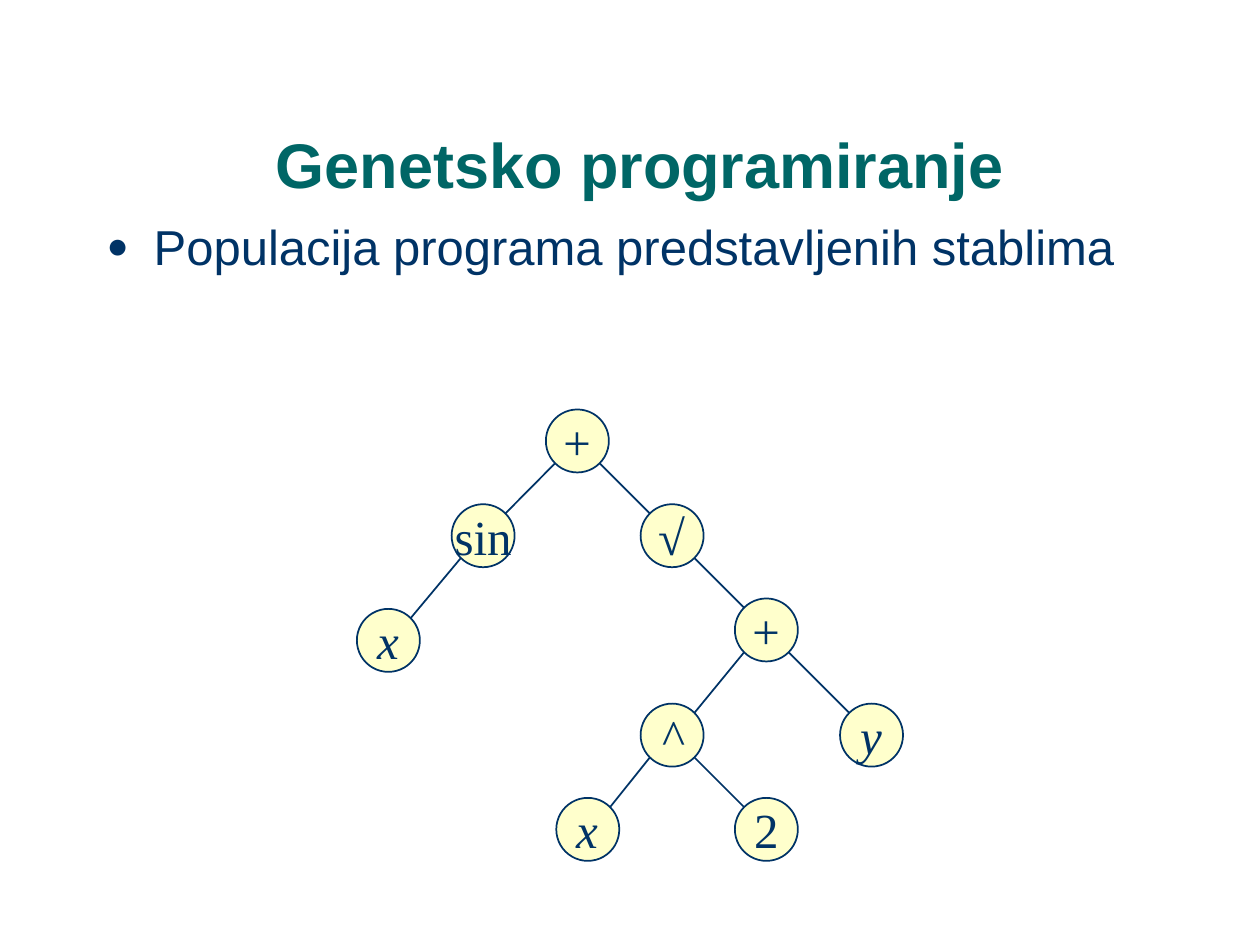
from math import sqrt

from lxml import etree
from pptx import Presentation
from pptx.dml.color import RGBColor
from pptx.enum.shapes import MSO_CONNECTOR, MSO_SHAPE
from pptx.enum.text import MSO_ANCHOR, PP_ALIGN
from pptx.oxml.ns import qn
from pptx.util import Cm, Pt

OVAL = MSO_SHAPE.OVAL
LINE = MSO_CONNECTOR.STRAIGHT
MIDDLE, BOTTOM = MSO_ANCHOR.MIDDLE, MSO_ANCHOR.BOTTOM
CENTER = PP_ALIGN.CENTER
TEAL = RGBColor(0x00, 0x66, 0x66)
NAVY = RGBColor(0x00, 0x33, 0x66)
CREAM = RGBColor(0xFF, 0xFF, 0xCC)


def set_font(par, name, size, color):
    par.font.name = name
    par.font.size = Pt(size)
    par.font.color.rgb = color


def add_text(left, top, width, height, text):
    box = slide.shapes.add_textbox(Cm(left), Cm(top), Cm(width), Cm(height))
    box.text_frame.word_wrap = True
    box.text_frame.text = text
    return box.text_frame


deck = Presentation()
deck.slide_width, deck.slide_height = Cm(25.4), Cm(19.05)
slide = deck.slides.add_slide(deck.slide_layouts[6])

# Title
frame = add_text(5.31, 2.74, 19.46, 1.47, "Genetsko programiranje")
frame.vertical_anchor = BOTTOM
par = frame.paragraphs[0]
par.line_spacing = 0.9
set_font(par, "Arial", 36, TEAL)
par.font.bold = True

# Bullet line
frame = add_text(1.9, 4.24, 21.6, 1.9, "Populacija programa predstavljenih stablima")
par = frame.paragraphs[0]
props = par._p.get_or_add_pPr()
props.set("marL", str(Cm(0.95)))
props.set("indent", str(-Cm(0.95)))
color = etree.SubElement(props, qn("a:buClr"))
etree.SubElement(color, qn("a:srgbClr"), val=str(NAVY))
etree.SubElement(props, qn("a:buSzPct"), val="75000")
etree.SubElement(props, qn("a:buFont"), typeface="Arial")
etree.SubElement(props, qn("a:buChar"), char="●")
set_font(par, "Arial", 28, NAVY)

# Tree nodes: label, centre x, centre y, parent index
SIZE = 1.27
nodes = [
    ("+", 11.64, 8.89, None),
    ("sin", 9.74, 10.8, 0),
    ("x", 7.83, 12.91, 1),
    ("√", 13.55, 10.8, 0),
    ("+", 15.45, 12.7, 3),
    ("^", 13.55, 14.82, 4),
    ("y", 17.57, 14.82, 4),
    ("2", 15.45, 16.72, 5),
    ("x", 11.85, 16.72, 5),
]
for label, x, y, _ in nodes:
    node = slide.shapes.add_shape(
        OVAL, Cm(x - SIZE / 2), Cm(y - SIZE / 2), Cm(SIZE), Cm(SIZE))
    node.shadow.inherit = False
    node.fill.solid()
    node.fill.fore_color.rgb = CREAM
    node.line.color.rgb = NAVY
    node.line.width = Pt(1)
    frame = node.text_frame
    frame.word_wrap = False
    frame.vertical_anchor = MIDDLE
    frame.text = label
    par = frame.paragraphs[0]
    par.alignment = CENTER
    set_font(par, "Times New Roman", 28, NAVY)
    par.font.italic = label not in ("sin", "2")

# Branches run between the diagonal points of the circles
edge = SIZE / 2 / sqrt(2)
for _, x, y, root in nodes:
    if root is None:
        continue
    _, px, py, _ = nodes[root]
    dx = edge if x > px else -edge
    branch = slide.shapes.add_connector(
        LINE, Cm(px + dx), Cm(py + edge), Cm(x - dx), Cm(y - edge))
    branch.line.color.rgb = NAVY
    branch.line.width = Pt(1)
    etree.SubElement(branch._element.spPr, qn("a:effectLst"))

deck.save("out.pptx")
